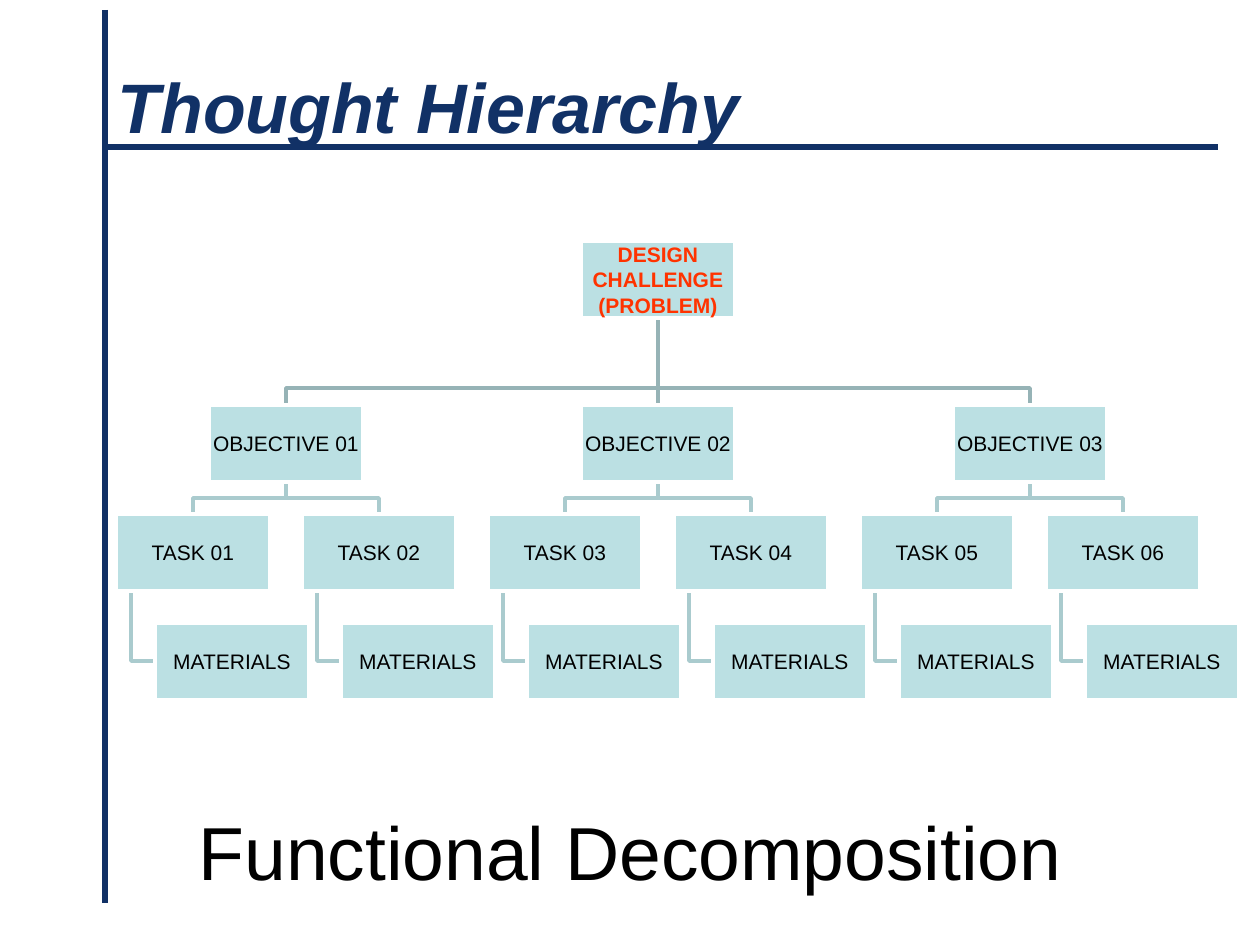
from lxml.etree import SubElement
from pptx import Presentation
from pptx.dml.color import RGBColor
from pptx.enum.shapes import MSO_CONNECTOR as Connector, MSO_SHAPE as Shape
from pptx.enum.text import MSO_ANCHOR as Anchor, MSO_AUTO_SIZE as AutoSize, PP_ALIGN as Align
from pptx.oxml.ns import qn
from pptx.util import Pt

NAVY = RGBColor(0x11, 0x31, 0x66)
AQUA = RGBColor(0xBB, 0xE0, 0xE3)
DARK_LINK = RGBColor(0x96, 0xB3, 0xB6)
LIGHT_LINK = RGBColor(0xAA, 0xCB, 0xCE)
ORANGE = RGBColor(0xFF, 0x33, 0x00)
BLACK = RGBColor(0x00, 0x00, 0x00)
WHITE = RGBColor(0xFF, 0xFF, 0xFF)

PX_PER_INCH = 126
EMU_PER_INCH = 914400

BOX_WIDTH, BOX_HEIGHT = 154, 77
ROOT_TOP, OBJECTIVE_TOP, TASK_TOP, MATERIAL_TOP = 241, 405, 514, 623
FIRST_TASK_LEFT, TASK_STEP, TASK_COUNT = 116, 186, 6
MATERIAL_INDENT, STEM_INDENT = 39, 15
OBJECTIVE_BUS, TASK_BUS = 388, 498


def px(length):
    return round(length * EMU_PER_INCH / PX_PER_INCH)


def write_text(frame, text, size=12, color=BLACK, bold=False, italic=False,
               align=Align.CENTER, font="Arial", margin=None):
    frame.word_wrap = True
    frame.auto_size = AutoSize.NONE
    frame.vertical_anchor = Anchor.MIDDLE
    if margin is not None:
        frame.margin_left = frame.margin_right = px(margin)
        frame.margin_top = frame.margin_bottom = px(margin)
    for index, line in enumerate(text.split("\n")):
        paragraph = frame.paragraphs[0] if index == 0 else frame.add_paragraph()
        paragraph.alignment = align
        run = paragraph.add_run()
        run.text = line
        run.font.name = font
        run.font.size = Pt(size)
        run.font.bold = bold
        run.font.italic = italic
        run.font.color.rgb = color


class SlideBuilder:
    def __init__(self, presentation):
        self.slide = presentation.slides.add_slide(presentation.slide_layouts[5])
        self.shapes = self.slide.shapes

    def title(self, text, left, top, width, height):
        title = self.shapes.title
        title.left, title.top = px(left), px(top)
        title.width, title.height = px(width), px(height)
        write_text(title.text_frame, text, size=40, color=NAVY, bold=True,
                   italic=True, align=Align.LEFT)

    def rule(self, *ends):
        line = self.shapes.add_connector(Connector.STRAIGHT, *map(px, ends))
        line.line.color.rgb = NAVY
        line.line.width = Pt(3)
        SubElement(line._element.spPr, qn("a:effectLst"))

    def link(self, points, color):
        points = [(px(x), px(y)) for x, y in points]
        builder = self.shapes.build_freeform(*points[0])
        builder.add_line_segments(points[1:], close=False)
        link = builder.convert_to_shape()
        link.shadow.inherit = False
        link.fill.background()
        link.line.color.rgb = color
        link.line.width = Pt(2)

    def branch(self, parent, child, bus, color):
        (x1, y1), (x2, y2) = parent, child
        self.link([(x1, y1), (x1, bus), (x2, bus), (x2, y2)], color)

    def box(self, text, left, top, **style):
        box = self.shapes.add_shape(Shape.RECTANGLE, px(left), px(top),
                                    px(BOX_WIDTH), px(BOX_HEIGHT))
        box.shadow.inherit = False
        box.fill.solid()
        box.fill.fore_color.rgb = AQUA
        box.line.color.rgb = WHITE
        box.line.width = Pt(2)
        write_text(box.text_frame, text, margin=1, **style)

    def caption(self, text, left, top, width, height):
        caption = self.shapes.add_textbox(px(left), px(top), px(width), px(height))
        write_text(caption.text_frame, text, size=42.9)


def draw_hierarchy(builder):
    half = BOX_WIDTH // 2
    tasks = [FIRST_TASK_LEFT + TASK_STEP * i for i in range(TASK_COUNT)]
    objectives = [(a + b) // 2 for a, b in zip(tasks[::2], tasks[1::2])]
    root = objectives[1]

    for objective in objectives:
        builder.branch((root + half, ROOT_TOP + BOX_HEIGHT),
                       (objective + half, OBJECTIVE_TOP), OBJECTIVE_BUS, DARK_LINK)
    for index, task in enumerate(tasks):
        builder.branch((objectives[index // 2] + half, OBJECTIVE_TOP + BOX_HEIGHT),
                       (task + half, TASK_TOP), TASK_BUS, LIGHT_LINK)
        stem, middle = task + STEM_INDENT, MATERIAL_TOP + BOX_HEIGHT // 2
        builder.link([(stem, TASK_TOP + BOX_HEIGHT), (stem, middle),
                      (task + MATERIAL_INDENT, middle)], LIGHT_LINK)

    builder.box("DESIGN CHALLENGE\n(PROBLEM)", root, ROOT_TOP, color=ORANGE, bold=True)
    for number, objective in enumerate(objectives, 1):
        builder.box(f"OBJECTIVE {number:02}", objective, OBJECTIVE_TOP)
    for number, task in enumerate(tasks, 1):
        builder.box(f"TASK {number:02}", task, TASK_TOP)
        builder.box("MATERIALS", task + MATERIAL_INDENT, MATERIAL_TOP)


def main():
    presentation = Presentation()
    presentation.slide_width, presentation.slide_height = px(1260), px(945)
    builder = SlideBuilder(presentation)
    builder.rule(105, 10, 105, 903)
    builder.rule(105, 147, 1218, 147)
    builder.title("Thought Hierarchy", 105, 32, 1134, 147)
    draw_hierarchy(builder)
    builder.caption("Functional Decomposition", 63, 777, 1134, 147)
    presentation.save("out.pptx")


if __name__ == "__main__":
    main()
